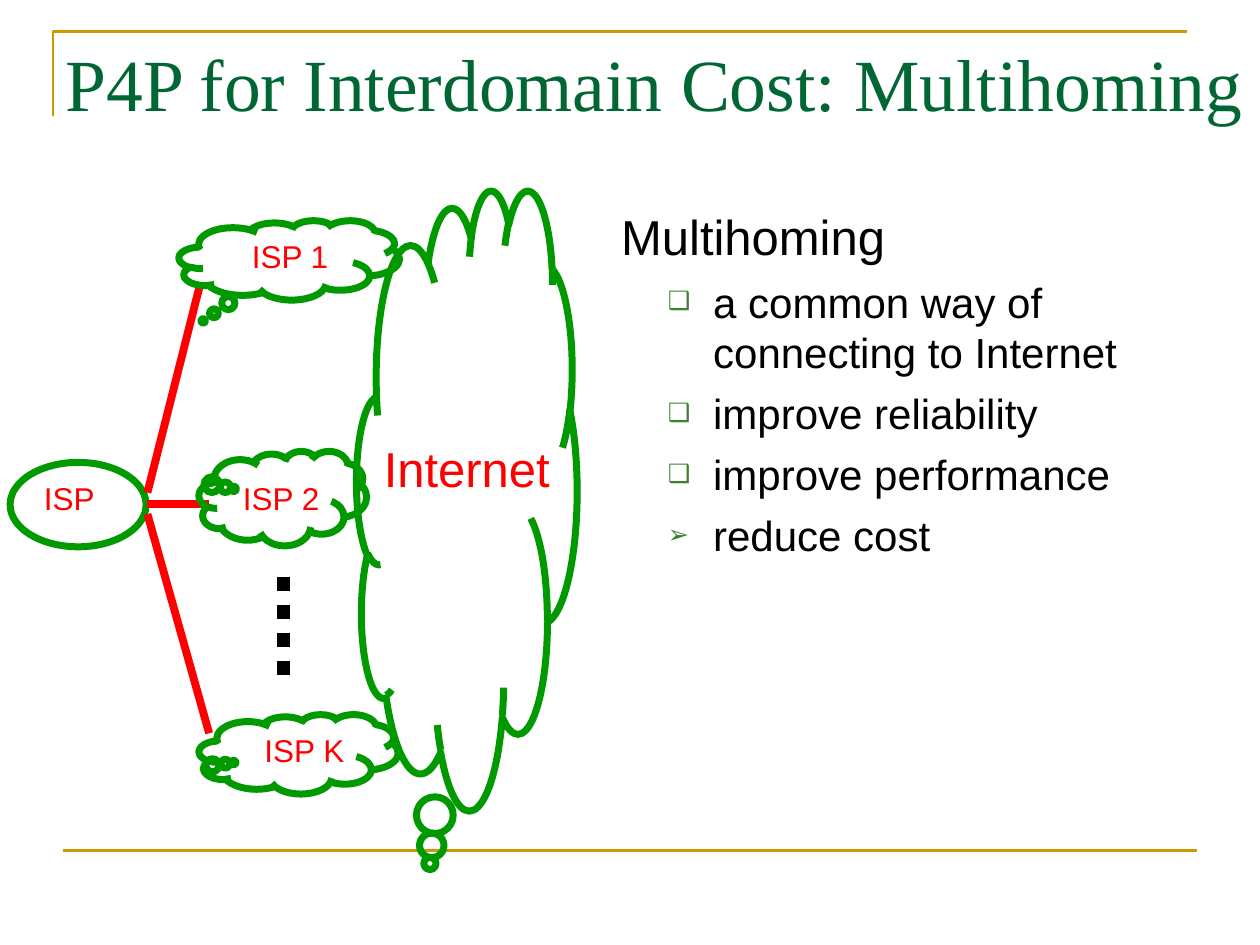
from dataclasses import dataclass

from lxml.etree import SubElement
from pptx import Presentation
from pptx.dml.color import RGBColor
from pptx.enum.dml import MSO_LINE
from pptx.enum.shapes import MSO_CONNECTOR, MSO_SHAPE
from pptx.enum.text import MSO_ANCHOR, MSO_AUTO_SIZE, PP_ALIGN
from pptx.oxml.ns import qn
from pptx.util import Inches, Pt


@dataclass(frozen=True)
class Theme:
    gold: str = "CC9900"
    title: str = "006633"
    network: str = "009900"
    accent: str = "FF0000"
    bullet: str = "3B812F"
    text: str = "000000"
    heading_font: str = "Times New Roman"
    body_font: str = "Arial"
    title_size: float = 42
    large_size: float = 28
    item_size: float = 24
    label_size: float = 18
    frame_width: float = 1.5
    outline_width: float = 4
    link_width: float = 4.5
    dots_width: float = 8


class SlideBuilder:
    def __init__(self, page, theme):
        self.page = page
        self.theme = theme

    def place(self, shape, left, top, width, height):
        shape.left, shape.top = Inches(left), Inches(top)
        shape.width, shape.height = Inches(width), Inches(height)

    def stroke(self, line, color, width):
        line.color.rgb = RGBColor.from_string(color)
        line.width = Pt(width)

    def span(self, para, text, size, color, font=None):
        span = para.add_run()
        span.text = text
        span.font.size = Pt(size)
        span.font.name = font or self.theme.body_font
        span.font.color.rgb = RGBColor.from_string(color)

    def corner(self, left, top, right, bottom):
        """Draw the open corner that frames the title."""
        builder = self.page.shapes.build_freeform(Inches(left), Inches(bottom))
        builder.add_line_segments(
            [(Inches(left), Inches(top)), (Inches(right), Inches(top))], close=False)
        corner = builder.convert_to_shape()
        corner.shadow.inherit = False
        corner.fill.background()
        self.stroke(corner.line, self.theme.gold, self.theme.frame_width)

    def line(self, start, end, color, width, dash=None):
        line = self.page.shapes.add_connector(
            MSO_CONNECTOR.STRAIGHT, *map(Inches, start + end))
        self.stroke(line.line, color, width)
        if dash:
            line.line.dash_style = dash
        SubElement(line._element.spPr, qn("a:effectLst"))

    def outline(self, kind, bounds, tail=()):
        """Draw an unfilled network shape; tail is the callout's tip offset."""
        shape = self.page.shapes.add_shape(kind, *map(Inches, bounds))
        shape.shadow.inherit = False
        shape.fill.background()
        self.stroke(shape.line, self.theme.network, self.theme.outline_width)
        for index, offset in enumerate(tail):
            shape.adjustments[index] = offset

    def label(self, text, bounds, size, align=PP_ALIGN.LEFT):
        box = self.page.shapes.add_textbox(*map(Inches, bounds))
        frame = box.text_frame
        frame.word_wrap = False
        frame.auto_size = MSO_AUTO_SIZE.SHAPE_TO_FIT_TEXT
        para = frame.paragraphs[0]
        para.alignment = align
        self.span(para, text, size, self.theme.accent)

    def title(self, text, bounds):
        title = self.page.shapes.title
        self.place(title, *bounds)
        frame = title.text_frame
        frame.auto_size = MSO_AUTO_SIZE.NONE
        frame.vertical_anchor = MSO_ANCHOR.TOP
        para = frame.paragraphs[0]
        para.alignment = PP_ALIGN.LEFT
        self.span(para, text, self.theme.title_size, self.theme.title,
                  self.theme.heading_font)

    def bullet(self, para, mark, left, hanging):
        """Set the indent, and a bullet mark unless mark is None."""
        properties = para._p.get_or_add_pPr()
        properties.set("marL", str(Inches(left)))
        properties.set("indent", str(-Inches(hanging)))
        if mark is None:
            SubElement(properties, qn("a:buNone"))
            return
        color = SubElement(properties, qn("a:buClr"))
        SubElement(color, qn("a:srgbClr"), val=self.theme.bullet)
        SubElement(properties, qn("a:buSzPct"), val="60000")
        SubElement(properties, qn("a:buFont"), typeface=self.theme.body_font)
        SubElement(properties, qn("a:buChar"), char=mark)

    def body(self, heading, items, bounds):
        body = self.page.placeholders[1]
        self.place(body, *bounds)
        frame = body.text_frame
        frame.auto_size = MSO_AUTO_SIZE.NONE
        para = frame.paragraphs[0]
        para.space_before = Pt(7)
        self.bullet(para, None, 0.38, 0.38)
        self.span(para, heading, self.theme.large_size, self.theme.text)
        for mark, text in items:
            para = frame.add_paragraph()
            para.level = 1
            para.space_before = Pt(6)
            self.bullet(para, mark, 0.73, 0.36)
            self.span(para, text, self.theme.item_size, self.theme.text)


def main():
    deck = Presentation()
    deck.slide_width, deck.slide_height = Inches(10), Inches(7.5)
    page = deck.slides.add_slide(deck.slide_layouts[1])
    theme = Theme()
    slide = SlideBuilder(page, theme)

    slide.corner(0.42, 0.25, 9.42, 0.92)
    slide.line((0.5, 6.75), (9.5, 6.75), theme.gold, theme.frame_width)
    slide.title("P4P for Interdomain Cost: Multihoming", (0.42, 0.25, 9.67, 1.08))
    slide.body("Multihoming", [
        ("❑", "a common way of connecting to Internet"),
        ("❑", "improve reliability"),
        ("❑", "improve performance"),
        ("➢", "reduce cost"),
    ], (4.83, 1.59, 4.83, 3.99))

    slide.outline(MSO_SHAPE.OVAL, (0.08, 3.67, 1.08, 0.67))
    links = [((1.17, 4), (1.66, 4)),
             ((1.17, 3.91), (1.59, 2.25)),
             ((1.17, 4.08), (1.66, 5.82))]
    for start, end in links:
        slide.line(start, end, theme.accent, theme.link_width)

    clouds = [((2.83, 1.5, 1.75, 4.92), (-0.167, 0.588)),
              ((1.58, 5.67, 1.58, 0.63), (-0.326, 0.107)),
              ((1.58, 3.58, 1.33, 0.75), (-0.293, -0.1)),
              ((1.42, 1.75, 1.75, 0.63), (-0.39, 0.766))]
    for bounds, tail in clouds:
        slide.outline(MSO_SHAPE.CLOUD_CALLOUT, bounds, tail)

    slide.line((2.25, 4.58), (2.25, 5.42), theme.text, theme.dots_width,
               MSO_LINE.ROUND_DOT)
    labels = [("ISP", (0.25, 3.75, 0.6, 0.4)),
              ("ISP 1", (1.9, 1.83, 0.81, 0.4)),
              ("ISP 2", (1.83, 3.75, 0.81, 0.4)),
              ("ISP K", (2, 5.75, 0.84, 0.4))]
    for text, bounds in labels:
        slide.label(text, bounds, theme.label_size)
    slide.label("Internet", (2.91, 3.43, 1.59, 0.57), theme.large_size,
                PP_ALIGN.CENTER)

    deck.save("out.pptx")


if __name__ == "__main__":
    main()
